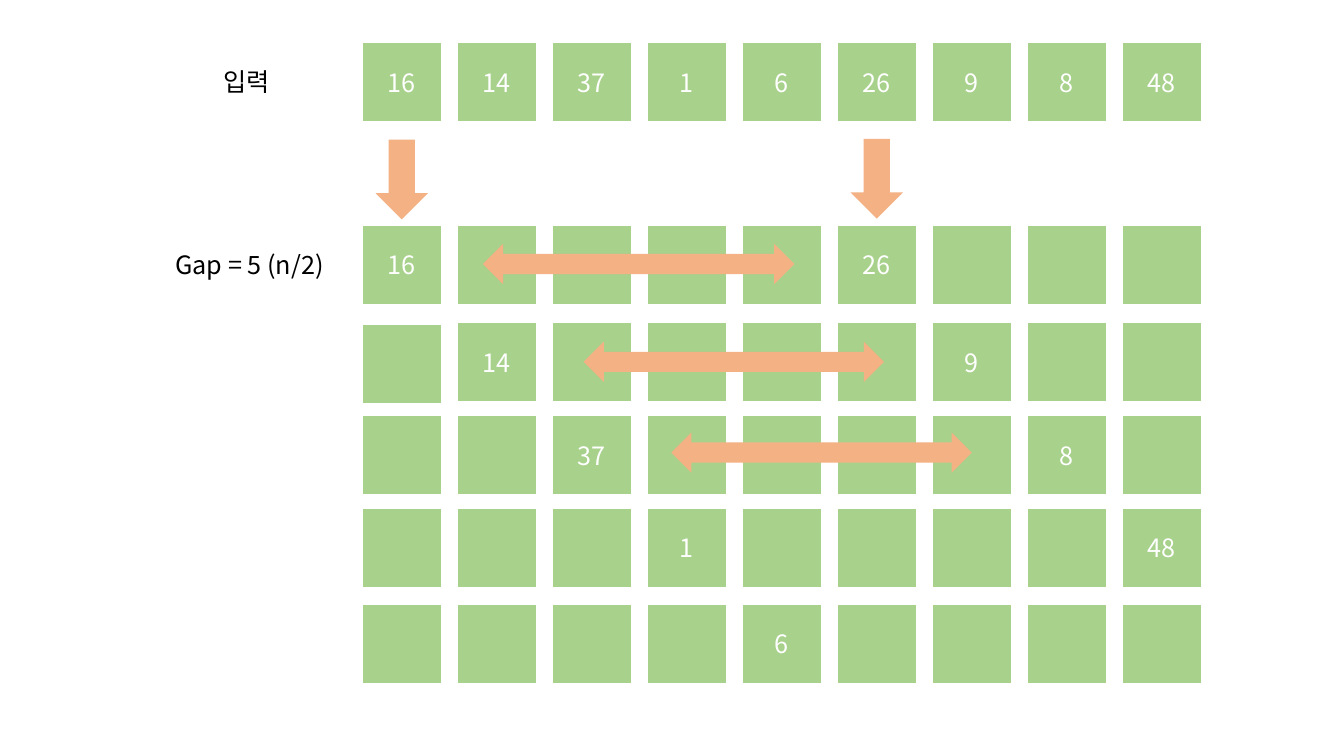
from lxml import etree
from pptx import Presentation
from pptx import util as u
from pptx.dml import color
from pptx.enum import shapes, text
from pptx.oxml import ns

VALUES = [16, 14, 37, 1, 6, 26, 9, 8, 48]
GAP = 5
LEFT, PITCH, CELL = 258.5, 67.86, 56.9
INPUT_TOP = 30.2
GROUP_TOPS = [160.6, 230.4, 296.6, 362.9, 431.3]


def rgb(value):
    return color.RGBColor.from_string(value)


def write(shape, words, *, hue, size=18, font="Noto Sans CJK KR",
          align=text.PP_ALIGN.CENTER, anchor=text.MSO_ANCHOR.MIDDLE):
    frame = shape.text_frame
    frame.word_wrap = True
    frame.vertical_anchor = anchor
    para = frame.paragraphs[0]
    para.alignment = align
    span = para.add_run()
    span.text = words
    span.font.size = u.Pt(size)
    span.font.color.rgb = rgb(hue)
    span.font.name = font
    # Korean glyphs take their own typeface entry
    properties = span.font._element
    etree.SubElement(properties, ns.qn("a:ea"), typeface=font)


class Diagram:
    green, orange, white, black = "A8D18C", "F4B183", "FFFFFF", "000000"

    def __init__(self, page):
        self.page = page

    def block(self, kind, left, top, width, height, fill, edge=None):
        shape = self.page.shapes.add_shape(
            kind, u.Pt(left), u.Pt(top), u.Pt(width), u.Pt(height))
        shape.shadow.inherit = False
        shape.fill.solid()
        shape.fill.fore_color.rgb = rgb(fill)
        if edge:
            shape.line.color.rgb = rgb(edge)
            shape.line.width = u.Pt(1)
        else:
            shape.line.fill.background()
        return shape

    def cell(self, column, top, words=""):
        box = self.block(shapes.MSO_SHAPE.RECTANGLE, LEFT + column * PITCH,
                         top, CELL, CELL, self.green, self.white)
        if words:
            write(box, words, hue=self.white)

    def label(self, top, words):
        box = self.page.shapes.add_textbox(
            u.Pt(108.7), u.Pt(top), u.Pt(139), u.Pt(29))
        write(box, words, hue=self.black, anchor=text.MSO_ANCHOR.TOP)

    def down_arrow(self, column, top, width=37.4):
        left = LEFT + column * PITCH + (CELL - width) / 2
        self.block(shapes.MSO_SHAPE.DOWN_ARROW, left, top, width, CELL,
                   self.orange)

    def span_arrow(self, left, top, width):
        self.block(shapes.MSO_SHAPE.LEFT_RIGHT_ARROW, left, top, width, 28.8,
                   self.orange)


deck = Presentation()
deck.slide_width, deck.slide_height = u.Pt(960), u.Pt(540)
diagram = Diagram(deck.slides.add_slide(deck.slide_layouts[6]))

# Input row
diagram.label(43.9, "입력 ")
for column, value in enumerate(VALUES):
    diagram.cell(column, INPUT_TOP, str(value))

# One row per group: only members a whole gap apart keep their value
diagram.label(174.2, "Gap = 5 (n/2)")
for group, top in enumerate(GROUP_TOPS):
    for column, value in enumerate(VALUES):
        shown = str(value) if column % GAP == group else ""
        nudge = 1.4 if (group, column) == (1, 0) else 0
        diagram.cell(column, top + nudge, shown)

# Arrows from the input to the first pair
diagram.down_arrow(0, 99.8)
diagram.down_arrow(GAP, 99.2)

# Arrows between the members of a pair
for left, top, width in [(344.9, 174.2, 222.5),
                         (416.9, 244.1, 214.6),
                         (479.5, 308.9, 214.6)]:
    diagram.span_arrow(left, top, width)

deck.save("out.pptx")
